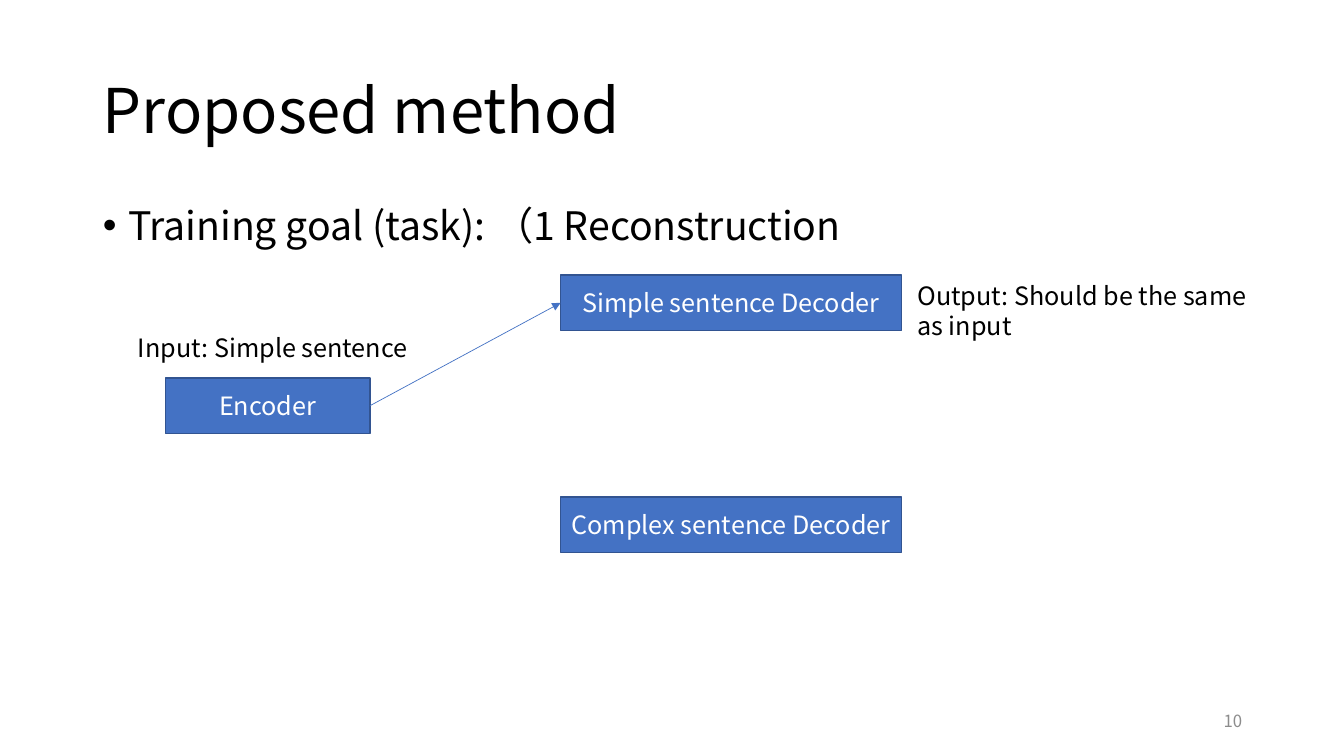
import pptx
import pptx.util
import pptx.dml.color
import pptx.enum.shapes
import pptx.enum.text
import pptx.oxml.ns
from lxml import etree

Inches = pptx.util.Inches
Pt = pptx.util.Pt
ALIGN = pptx.enum.text.PP_ALIGN
ANCHOR = pptx.enum.text.MSO_ANCHOR
COLOURS = {"text": "000000", "number": "8C8C8C", "fill": "4472C4",
           "outline": "325491", "label": "FFFFFF"}


def add_element(parent, tag, **attributes):
    return etree.SubElement(parent, pptx.oxml.ns.qn(tag), attributes)


class SlideBuilder:
    """Holds the style and the current slide, and adds its elements."""

    font = "Noto Sans CJK JP"

    def __init__(self, deck):
        self.page = deck.slides.add_slide(deck.slide_layouts[1])

    def colour(self, name):
        return pptx.dml.color.RGBColor.from_string(COLOURS[name])

    def set_text(self, box, text, size, colour="text", align=ALIGN.LEFT,
                 anchor=ANCHOR.TOP, spacing=1.0, bullet=False):
        frame = box.text_frame
        frame.word_wrap = True
        frame.auto_size = pptx.enum.text.MSO_AUTO_SIZE.NONE
        frame.vertical_anchor = anchor
        para = frame.paragraphs[0]
        para.text = text
        para.alignment = align
        para.line_spacing = spacing
        para.space_before = Pt(0)
        properties = para._p.get_or_add_pPr()
        if bullet:
            properties.set("marL", str(Inches(0.25)))
            properties.set("indent", str(-Inches(0.25)))
            add_element(properties, "a:buFont", typeface="Arial")
            add_element(properties, "a:buChar", char="•")
        para.font.size = Pt(size)
        para.font.color.rgb = self.colour(colour)
        para.font.name = self.font
        add_element(properties.find(pptx.oxml.ns.qn("a:defRPr")), "a:ea",
                    typeface=self.font)

    def place(self, box, left, top, width, height):
        box.left, box.top = Inches(left), Inches(top)
        box.width, box.height = Inches(width), Inches(height)

    def title(self, text):
        box = self.page.shapes.title
        self.place(box, 0.92, 0.4, 11.5, 1.45)
        self.set_text(box, text, 44, anchor=ANCHOR.MIDDLE, spacing=0.9)

    def bullet(self, text):
        box = self.page.placeholders[1]
        self.place(box, 0.92, 2, 11.5, 4.76)
        self.set_text(box, text, 28, spacing=0.9, bullet=True)

    def text(self, text, left, top, width, height, size=18, **style):
        box = self.page.shapes.add_textbox(
            Inches(left), Inches(top), Inches(width), Inches(height))
        self.set_text(box, text, size, **style)

    def block(self, text, left, top, width):
        box = self.page.shapes.add_shape(
            pptx.enum.shapes.MSO_SHAPE.RECTANGLE,
            Inches(left), Inches(top), Inches(width), Inches(0.55))
        box.shadow.inherit = False
        box.fill.solid()
        box.fill.fore_color.rgb = self.colour("fill")
        box.line.color.rgb = self.colour("outline")
        box.line.width = Pt(1)
        self.set_text(box, text, 18, "label", ALIGN.CENTER, ANCHOR.MIDDLE)
        return box

    def arrow(self, source, target):
        line = self.page.shapes.add_connector(
            pptx.enum.shapes.MSO_CONNECTOR.STRAIGHT, 0, 0, 0, 0)
        line.begin_connect(source, 3)
        line.end_connect(target, 1)
        line.line.color.rgb = self.colour("fill")
        line.line.width = Pt(0.5)
        outline = line._element.spPr.find(pptx.oxml.ns.qn("a:ln"))
        add_element(outline, "a:tailEnd", type="triangle")
        add_element(line._element.spPr, "a:effectLst")


def main():
    deck = pptx.Presentation()
    deck.slide_width, deck.slide_height = Inches(13.33), Inches(7.5)
    slide = SlideBuilder(deck)
    slide.title("Proposed method")
    slide.bullet("Training goal (task): （1 Reconstruction")
    slide.text("10", 9.42, 6.95, 3, 0.4, size=12, colour="number",
               align=ALIGN.RIGHT, anchor=ANCHOR.MIDDLE)
    encoder = slide.block("Encoder", 1.64, 3.75, 2.03)
    simple_decoder = slide.block("Simple sentence Decoder", 5.56, 2.73, 3.38)
    slide.block("Complex sentence Decoder", 5.56, 4.93, 3.38)
    slide.arrow(encoder, simple_decoder)
    slide.text("Input: Simple sentence", 1.27, 3.25, 3.03, 0.4)
    slide.text("Output: Should be the same as input", 9, 2.73, 3.63, 0.71)
    deck.save("out.pptx")


if __name__ == "__main__":
    main()
